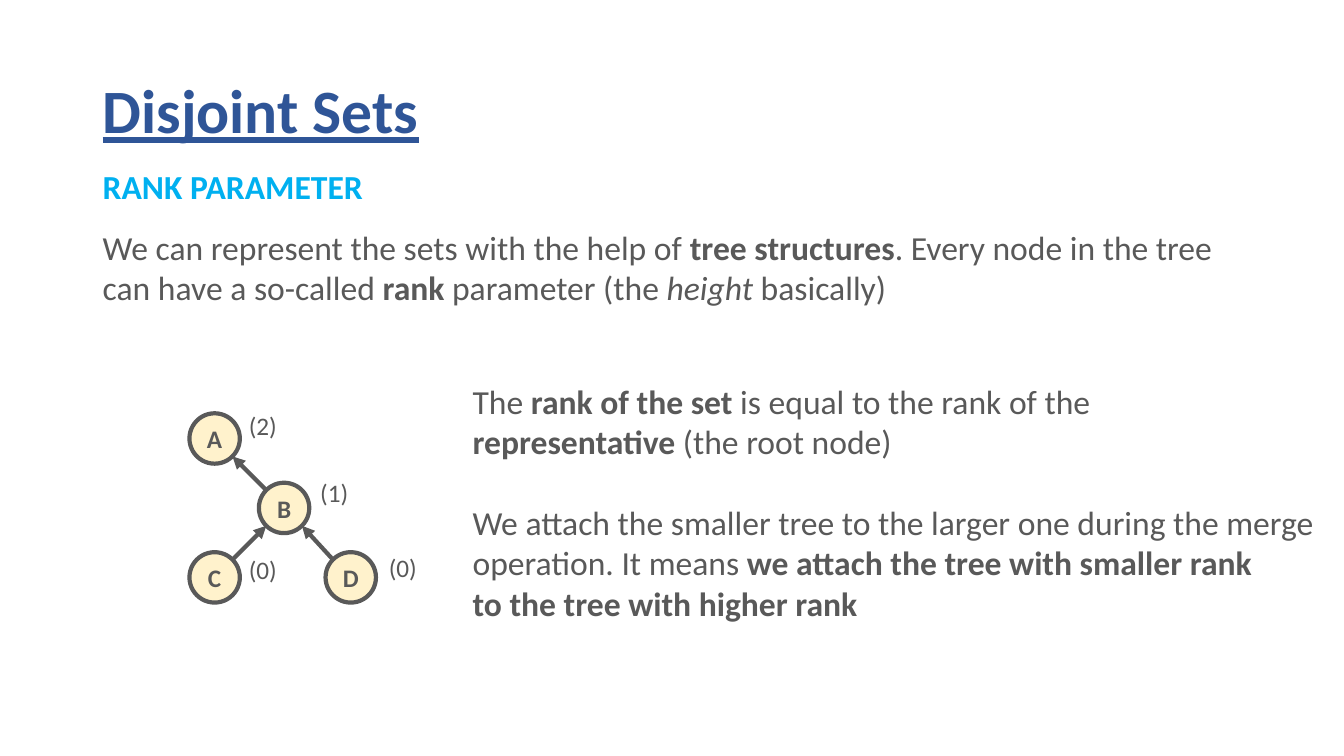
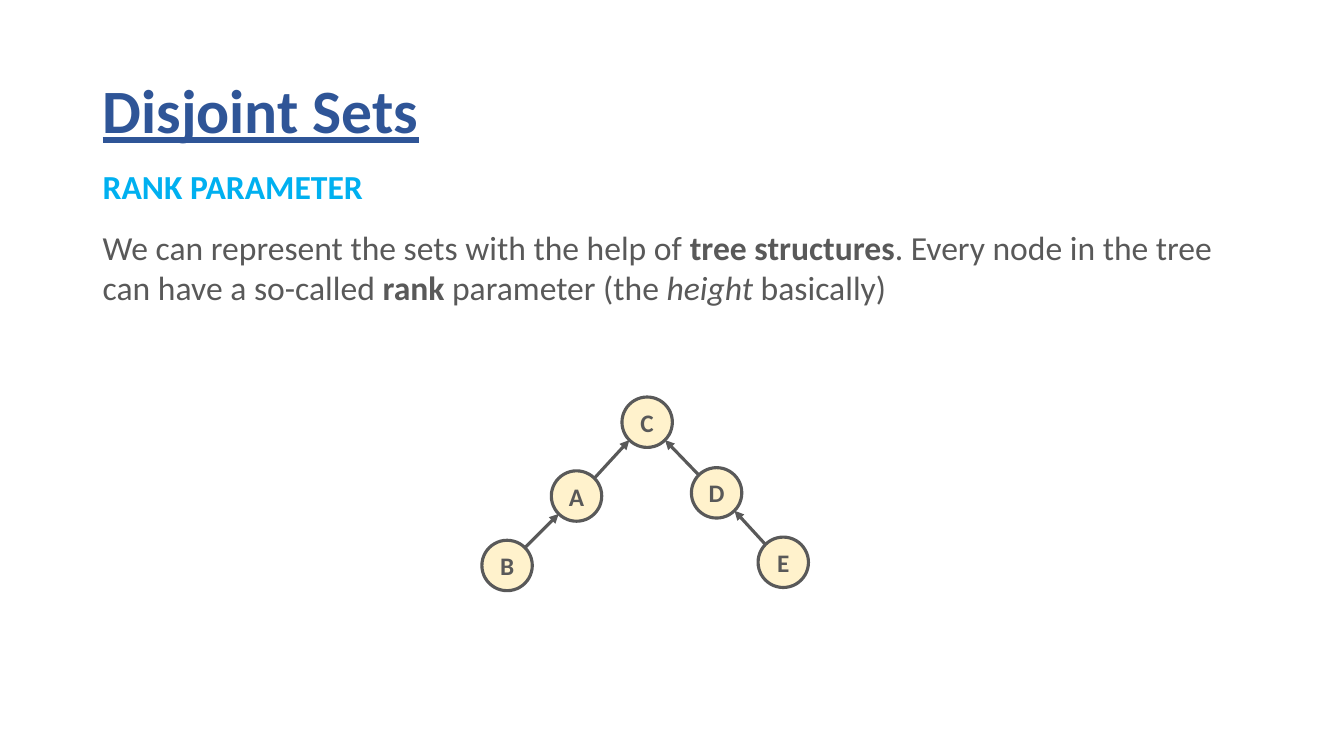
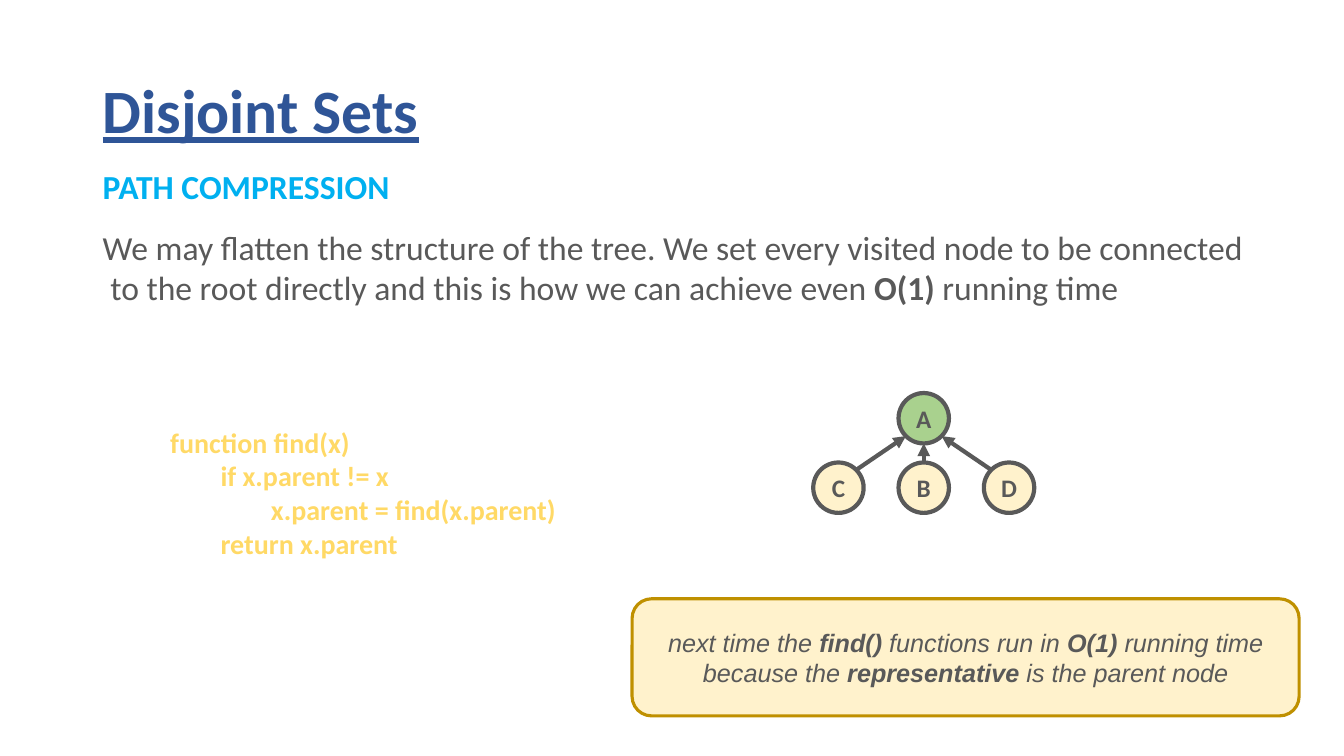
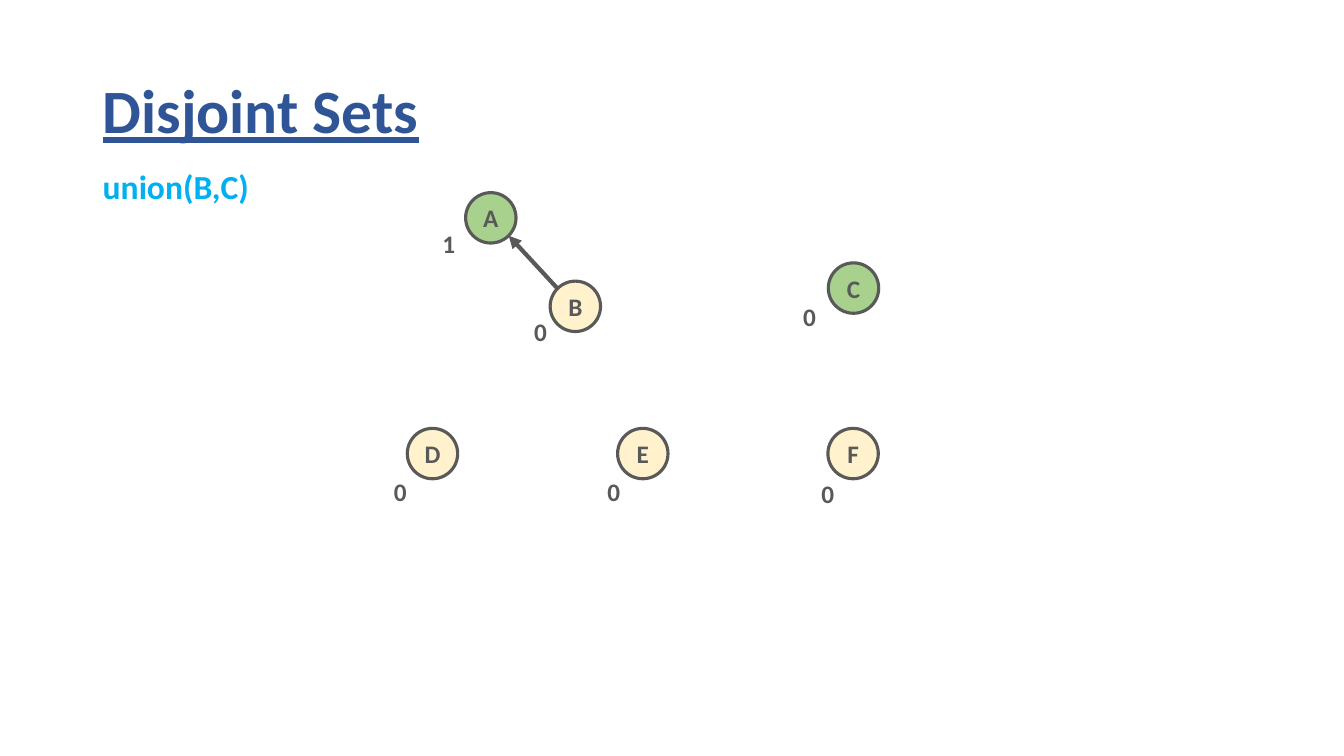
"""Builds four slides on disjoint sets: ranks, path compression and union."""
import math
from lxml import etree
from pptx import Presentation
from pptx import util as u
from pptx.dml.color import RGBColor
from pptx.enum import shapes, text
from pptx.oxml import ns

NAVY = RGBColor(0x2F, 0x55, 0x97)
SKY = RGBColor(0x00, 0xB0, 0xF0)
GREY = RGBColor(0x59, 0x59, 0x59)
CREAM = RGBColor(0xFF, 0xF2, 0xCC)
GREEN = RGBColor(0xA9, 0xD1, 0x8E)
YELLOW = RGBColor(0xFF, 0xD9, 0x66)
GOLD = RGBColor(0xBF, 0x90, 0x00)

LEFT = 2.34
RADIUS = 0.635
DIAGONAL = RADIUS * math.sqrt(0.5)


class Deck:
    def __init__(self):
        self.prs = Presentation()
        self.prs.slide_width = u.Cm(33.87)
        self.prs.slide_height = u.Cm(19.05)
        self.s = None

    def slide(self, heading, width):
        self.s = self.prs.slides.add_slide(self.prs.slide_layouts[6])
        title = self.text(["Disjoint Sets"], LEFT, 1.02, 29.21, 3.68, size=44,
                          color=NAVY, bold=True, underline=True)
        title.vertical_anchor = text.MSO_ANCHOR.MIDDLE
        title.auto_size = text.MSO_AUTO_SIZE.NONE
        title.word_wrap = True
        title.paragraphs[0].line_spacing = 0.9
        self.text([heading], LEFT, 4.06, width, 1.27, size=24, color=SKY, bold=True)

    def add_lines(self, tf, lines, size=18, color=GREY, align=None, **fmt):
        """Fills a frame; *stars* mark bold and _underscores_ mark italic."""
        for i, line in enumerate(lines):
            p = tf.paragraphs[0] if i == 0 else tf.add_paragraph()
            p.alignment = align
            for j, part in enumerate(line.split("*")):
                for k, words in enumerate(part.split("_")):
                    if not words:
                        continue
                    r = p.add_run()
                    r.text = words
                    style = {"name": "Calibri", "size": u.Pt(size), **fmt}
                    if j % 2:
                        style["bold"] = True
                    if k % 2:
                        style["italic"] = True
                    for name, value in style.items():
                        setattr(r.font, name, value)
                    r.font.color.rgb = color

    def text(self, lines, x, y, w, h, **fmt):
        tf = self.s.shapes.add_textbox(u.Cm(x), u.Cm(y), u.Cm(w), u.Cm(h)).text_frame
        tf.word_wrap = False
        tf.auto_size = text.MSO_AUTO_SIZE.SHAPE_TO_FIT_TEXT
        self.add_lines(tf, lines, **fmt)
        return tf

    def body(self, lines, width):
        self.text(lines, LEFT, 5.59, width, 2.31, size=24)

    def shape(self, kind, lines, x, y, w, h, fill, line, weight, **fmt):
        sp = self.s.shapes.add_shape(kind, u.Cm(x), u.Cm(y), u.Cm(w), u.Cm(h))
        sp.shadow.inherit = False
        sp.fill.solid()
        sp.fill.fore_color.rgb = fill
        sp.line.color.rgb = line
        sp.line.width = u.Pt(weight)
        self.add_lines(sp.text_frame, lines, align=text.PP_ALIGN.CENTER, **fmt)

    def arrow(self, start, end, weight):
        dx, dy = (b - a for a, b in zip(start, end))
        reach = DIAGONAL if dx and dy else RADIUS
        sx, sy = (math.copysign(reach, d) if d else 0 for d in (dx, dy))
        cx = self.s.shapes.add_connector(
            shapes.MSO_CONNECTOR.STRAIGHT,
            u.Cm(start[0] + sx), u.Cm(start[1] + sy),
            u.Cm(end[0] - sx), u.Cm(end[1] - sy))
        cx.line.color.rgb = GREY
        cx.line.width = u.Pt(weight)
        sp_pr = cx._element.spPr
        etree.SubElement(sp_pr.find(ns.qn("a:ln")), ns.qn("a:tailEnd"), type="triangle")
        etree.SubElement(sp_pr, ns.qn("a:effectLst"))

    def tree(self, nodes, edges, roots="", weight=3, arrow_weight=None):
        """Draws nodes by centre, and edges as child-parent letter pairs."""
        for name, (x, y) in nodes.items():
            self.shape(shapes.MSO_SHAPE.OVAL, [name], x - RADIUS, y - RADIUS,
                       2 * RADIUS, 2 * RADIUS, GREEN if name in roots else CREAM,
                       GREY, weight, bold=True)
        for child, parent in edges:
            self.arrow(nodes[child], nodes[parent], arrow_weight or weight)

    def labels(self, items, width, **fmt):
        for words, x, y in items:
            self.text([words], x, y, width, 1.02, **fmt)


def main():
    d = Deck()
    rank_intro = [
        "We can represent the sets with the help of *tree structures*. Every node in the tree",
        "can have a so-called *rank* parameter (the _height_ basically)"]

    def rank_slide():
        d.slide("RANK PARAMETER", 7.14)
        d.body(rank_intro, 28.65)

    rank_slide()
    d.tree({"A": (5.41, 11.05), "B": (7.16, 12.8), "D": (8.84, 14.55),
            "C": (5.41, 14.55)}, ["CB", "DB", "BA"])
    d.labels([("(0)", 6.02, 13.84), ("(0)", 9.55, 13.79),
              ("(1)", 7.82, 11.91), ("(2)", 6.02, 10.21)], 1.22)
    tf = d.text([
        "The *rank of the set* is equal to the rank of the",
        "*representative* (the root node)",
        "We attach the smaller tree to the larger one during the merge",
        "operation. It means *we attach the tree with smaller rank*",
        "*to the tree with higher rank*"], 11.66, 9.47, 21.92, 6.4, size=24)
    tf.paragraphs[2].space_before = u.Pt(29)

    rank_slide()
    d.tree({"C": (16.31, 10.64), "D": (18.06, 12.42), "E": (19.74, 14.17),
            "A": (14.53, 12.5), "B": (12.78, 14.25)},
           ["ED", "DC", "BA", "AC"], weight=2.25)

    d.slide("PATH COMPRESSION", 7.8)
    d.body([
        "We may flatten the structure of the tree. We set every visited node to be connected",
        " to the root directly and this is how we can achieve even *O(1)* running time"], 29.54)
    d.text(["function find(x)", "\tif x.parent != x", "\t\tx.parent = find(x.parent)",
            "\treturn x.parent"], 4.04, 10.59, 12.9, 3.68, size=20, color=YELLOW, bold=True)
    children = {name: (21.13 + 2.15 * i, 12.29) for i, name in enumerate("CBD")}
    d.tree({"A": (children["B"][0], 10.54), **children}, ["CA", "DA", "BA"], roots="A")
    d.shape(shapes.MSO_SHAPE.ROUNDED_RECTANGLE,
            ["next time the *find()* functions run in *O(1)* running time "
             "because the *representative* is the parent node"],
            15.93, 15.09, 16.81, 2.95, CREAM, GOLD, 2.25, name="Arial", italic=True)

    d.slide("union(B,C)", 4.24)
    singles = {name: (10.9 + 5.3 * i, 11.43) for i, name in enumerate("DEF")}
    d.tree({"A": (12.37, 5.49), "B": (14.5, 7.72), "C": (21.51, 7.26), **singles},
           ["BA"], roots="AC", weight=2.25, arrow_weight=3)
    d.labels([("1", 10.9, 5.64), ("0", 19.99, 7.47), ("0", 13.21, 7.85),
              ("0", 9.68, 11.89), ("0", 15.06, 11.89), ("0", 20.45, 11.94)],
             0.86, bold=True)

    d.prs.save("out.pptx")


if __name__ == "__main__":
    main()
